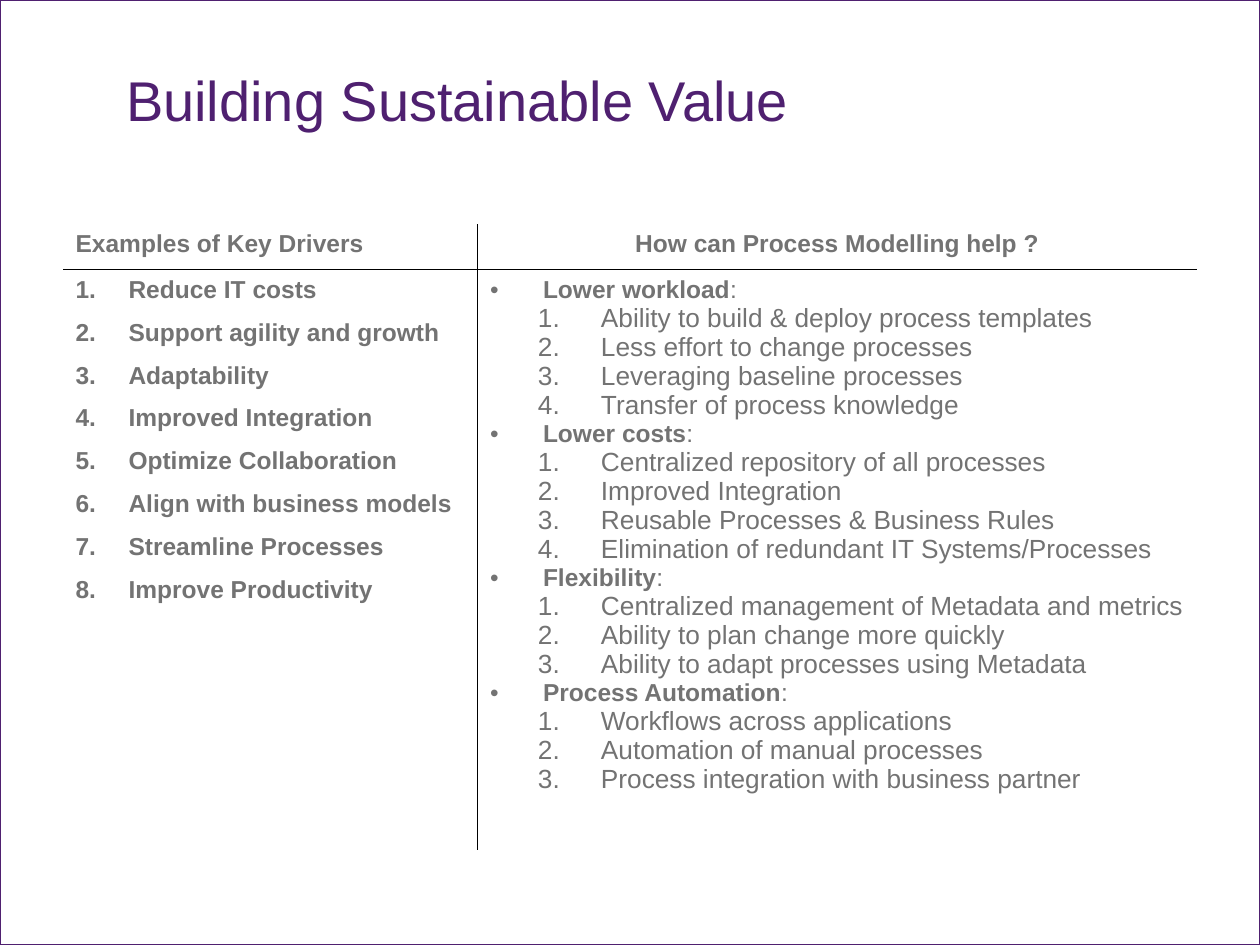
from lxml import etree
from pptx import Presentation
from pptx.dml.color import RGBColor
from pptx.enum.shapes import MSO_SHAPE
from pptx.enum.text import MSO_ANCHOR, MSO_AUTO_SIZE, PP_ALIGN
from pptx.oxml.ns import qn
from pptx.util import Inches, Pt

RECT = MSO_SHAPE.RECTANGLE
TOP = MSO_ANCHOR.TOP
FIXED = MSO_AUTO_SIZE.NONE
LEFT, CENTER = PP_ALIGN.LEFT, PP_ALIGN.CENTER
PURPLE = RGBColor(0x4F, 0x20, 0x70)
GRAY = RGBColor(0x73, 0x73, 0x73)
BLACK = RGBColor(0, 0, 0)

HEADS = ["Examples of Key Drivers", "How can Process Modelling help ?"]
DRIVERS = [
    "Reduce IT costs", "Support agility and growth", "Adaptability",
    "Improved Integration", "Optimize Collaboration",
    "Align with business models", "Streamline Processes",
    "Improve Productivity",
]
HELP = {
    "Lower workload": [
        "Ability to build & deploy process templates",
        "Less effort to change processes",
        "Leveraging baseline processes",
        "Transfer of process knowledge",
    ],
    "Lower costs": [
        "Centralized repository of all processes",
        "Improved Integration",
        "Reusable Processes & Business Rules",
        "Elimination of redundant IT Systems/Processes",
    ],
    "Flexibility": [
        "Centralized management of Metadata and metrics",
        "Ability to plan change more quickly",
        "Ability to adapt processes using Metadata",
    ],
    "Process Automation": [
        "Workflows across applications",
        "Automation of manual processes",
        "Process integration with business partner",
    ],
}


class Deck:
    font = "Arial"

    def __init__(self, wide, high):
        self.prs = Presentation()
        self.prs.slide_width, self.prs.slide_height = wide, high
        self.slide = self.prs.slides.add_slide(self.prs.slide_layouts[5])

    def style(self, run, size, color, bold=False):
        font = run.font
        font.name, font.size, font.bold = self.font, Pt(size), bold
        font.color.rgb = color

    def frame(self):
        box = self.slide.shapes.add_shape(
            RECT, 0, 0, self.prs.slide_width, self.prs.slide_height)
        box.shadow.inherit = False
        box.fill.background()
        box.line.color.rgb = PURPLE
        box.line.width = Pt(0.75)

    def title(self, text, left, top, width, height):
        box = self.slide.shapes.title
        box.left, box.top, box.width, box.height = left, top, width, height
        body = box.text_frame
        body.margin_left = body.margin_right = 0
        body.margin_top = body.margin_bottom = 0
        body.auto_size, body.vertical_anchor = FIXED, TOP
        body.text = text
        para = body.paragraphs[0]
        para.alignment, para.line_spacing = LEFT, 0.9
        self.style(para.runs[0], 32, PURPLE)

    def table(self, left, top, cols, rows):
        grid = self.slide.shapes.add_table(
            len(rows), len(cols), left, top, sum(cols), sum(rows)).table
        grid.first_row = grid.horz_banding = False
        for col, width in zip(grid.columns, cols):
            col.width = width
        for row, height in zip(grid.rows, rows):
            row.height = height
        return grid

    def edges(self, cell, shown):
        """Rule the shown sides (from L, R, T, B) and clear the rest."""
        props = cell._tc.get_or_add_tcPr()
        for side in "LRTB":
            line = etree.SubElement(props, qn("a:ln" + side))
            if side in shown:
                line.set("w", str(Pt(0.45)))
                fill = etree.SubElement(line, qn("a:solidFill"))
                etree.SubElement(fill, qn("a:srgbClr"), val=str(BLACK))
            else:
                etree.SubElement(line, qn("a:noFill"))
        cell.fill.background()

    def mark(self, para, left, hang, number):
        """Give a paragraph a number or a dot with a hanging indent."""
        props = para._p.get_or_add_pPr()
        props.set("marL", str(Inches(left)))
        props.set("indent", str(-Inches(hang)))
        tint = etree.SubElement(props, qn("a:buClr"))
        etree.SubElement(tint, qn("a:srgbClr"), val=str(GRAY))
        etree.SubElement(props, qn("a:buFont"), typeface=self.font)
        if number:
            etree.SubElement(props, qn("a:buAutoNum"), type="arabicPeriod")
        else:
            etree.SubElement(props, qn("a:buChar"), char="•")

    def para(self, cell, text, size=14, bold=True):
        body = cell.text_frame
        para = body.paragraphs[0]
        if para.runs:
            para = body.add_paragraph()
        para.text = text
        self.style(para.runs[0], size, GRAY, bold)
        return para

    def head(self, cell, text, align):
        self.para(cell, text).alignment = align

    def steps(self, cell, items):
        for i, item in enumerate(items):
            para = self.para(cell, item)
            if i:
                para.space_before = Pt(8.8)
            self.mark(para, 0.42, 0.42, True)

    def groups(self, cell, groups):
        for name, items in groups.items():
            para = self.para(cell, name)
            self.mark(para, 0.42, 0.42, False)
            colon = para.add_run()
            colon.text = ":"
            self.style(colon, 14, GRAY)
            for item in items:
                para = self.para(cell, item, 15, False)
                para.level = 1
                self.mark(para, 0.88, 0.5, True)


def main():
    deck = Deck(Inches(10), Inches(7.5))

    # Border and title
    deck.frame()
    deck.title("Building Sustainable Value",
               Inches(1), Inches(0.58), Inches(8.33), Inches(0.67))

    # Table with inner rules only
    grid = deck.table(Inches(0.5), Inches(1.78),
                      [Inches(3.29), Inches(5.71)],
                      [Inches(0.36), Inches(4.61)])
    for row, high in enumerate("BT"):
        for col, wide in enumerate("RL"):
            deck.edges(grid.cell(row, col), high + wide)

    # Cell text
    for col, (text, align) in enumerate(zip(HEADS, (LEFT, CENTER))):
        deck.head(grid.cell(0, col), text, align)
    deck.steps(grid.cell(1, 0), DRIVERS)
    deck.groups(grid.cell(1, 1), HELP)

    deck.prs.save("out.pptx")


if __name__ == "__main__":
    main()
